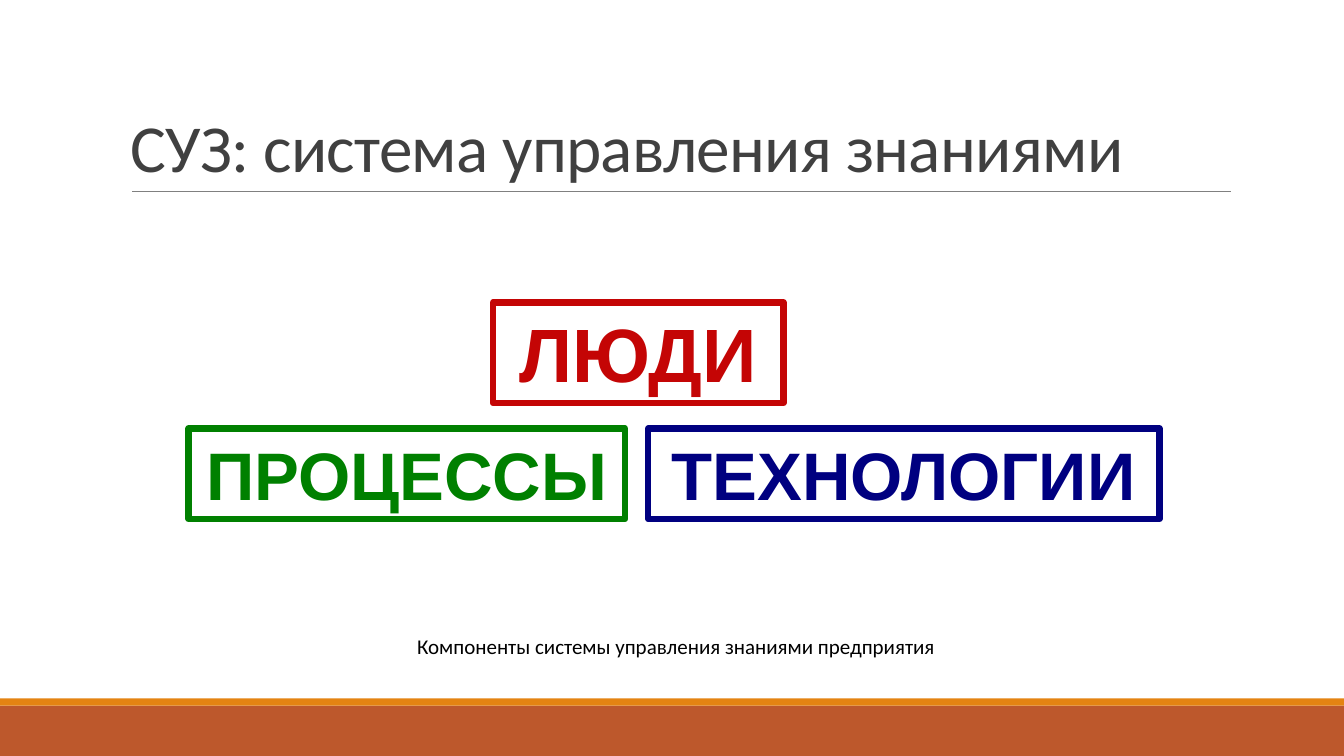
from dataclasses import dataclass

from lxml.etree import SubElement
from pptx import Presentation
from pptx.dml.color import RGBColor
from pptx.enum.shapes import MSO_CONNECTOR, MSO_SHAPE
from pptx.enum.text import MSO_ANCHOR, PP_ALIGN
from pptx.oxml.ns import qn
from pptx.shapes.autoshape import Shape
from pptx.slide import Slide
from pptx.util import Inches, Pt


@dataclass(frozen=True)
class Theme:
    heading_font: str = "Calibri"
    component_font: str = "Arial"
    title_color: str = "404040"
    caption_color: str = "000000"
    rule_color: str = "808080"
    footer_color: str = "BD582C"
    accent_color: str = "E48312"
    people_color: str = "C40505"
    processes_color: str = "008000"
    technologies_color: str = "000080"
    title_size: float = 48
    people_size: float = 54
    component_size: float = 48
    caption_size: float = 15


@dataclass(frozen=True)
class Box:
    left: float
    top: float
    width: float
    height: float


@dataclass(frozen=True)
class Band:
    box: Box
    color: str


@dataclass(frozen=True)
class Component:
    text: str
    box: Box
    color: str
    size: float


THEME = Theme()
SLIDE_WIDTH, SLIDE_HEIGHT = 13.33, 7.5

BANDS = [
    Band(Box(0, 7, SLIDE_WIDTH, 0.5), THEME.footer_color),
    Band(Box(0, 6.93, SLIDE_WIDTH, 0.07), THEME.accent_color),
]

COMPONENTS = [
    Component("ПРОЦЕССЫ", Box(1.87, 4.25, 4.33, 0.9),
              THEME.processes_color, THEME.component_size),
    Component("ЛЮДИ", Box(4.89, 3, 2.88, 1),
              THEME.people_color, THEME.people_size),
    Component("ТЕХНОЛОГИИ", Box(6.43, 4.25, 5.07, 0.9),
              THEME.technologies_color, THEME.component_size),
]


def set_text(shape: Shape, text: str, *, font: str, size: float, color: str,
             bold: bool = False, align: PP_ALIGN = PP_ALIGN.CENTER,
             anchor: MSO_ANCHOR = MSO_ANCHOR.TOP, line_spacing: float = 1,
             tracking: float = 0) -> None:
    """Write one formatted paragraph; tracking is in points."""
    frame = shape.text_frame
    frame.word_wrap = True
    frame.vertical_anchor = anchor
    paragraph = frame.paragraphs[0]
    paragraph.alignment = align
    paragraph.line_spacing = line_spacing
    run = paragraph.add_run()
    run.text = text
    run.font.name = font
    run.font.size = Pt(size)
    run.font.bold = bold
    run.font.color.rgb = RGBColor.from_string(color)
    if tracking:
        run.font._element.set("spc", str(round(tracking * 100)))


def add_rectangle(slide: Slide, box: Box) -> Shape:
    shape = slide.shapes.add_shape(
        MSO_SHAPE.RECTANGLE, Inches(box.left), Inches(box.top),
        Inches(box.width), Inches(box.height))
    shape.shadow.inherit = False
    return shape


def add_text_box(slide: Slide, box: Box) -> Shape:
    return slide.shapes.add_textbox(
        Inches(box.left), Inches(box.top), Inches(box.width), Inches(box.height))


def add_band(slide: Slide, band: Band) -> None:
    shape = add_rectangle(slide, band.box)
    shape.fill.solid()
    shape.fill.fore_color.rgb = RGBColor.from_string(band.color)
    shape.line.fill.background()


def add_title_rule(slide: Slide) -> None:
    rule = slide.shapes.add_connector(
        MSO_CONNECTOR.STRAIGHT, Inches(1.31), Inches(1.9), Inches(12.21), Inches(1.9))
    rule.line.color.rgb = RGBColor.from_string(THEME.rule_color)
    rule.line.width = Pt(0.5)
    SubElement(rule._element.spPr, qn("a:effectLst"))


def add_component(slide: Slide, component: Component) -> None:
    shape = add_rectangle(slide, component.box)
    shape.fill.background()
    shape.line.color.rgb = RGBColor.from_string(component.color)
    shape.line.width = Pt(4.5)
    set_text(shape, component.text, font=THEME.component_font,
             size=component.size, color=component.color, bold=True)


def main() -> None:
    presentation = Presentation()
    presentation.slide_width = Inches(SLIDE_WIDTH)
    presentation.slide_height = Inches(SLIDE_HEIGHT)
    slide = presentation.slides.add_slide(presentation.slide_layouts[6])

    for band in BANDS:
        add_band(slide, band)
    add_title_rule(slide)
    set_text(add_text_box(slide, Box(1.2, 0.31, 11, 1.59)),
             "СУЗ: система управления знаниями", font=THEME.heading_font,
             size=THEME.title_size, color=THEME.title_color, align=PP_ALIGN.LEFT,
             anchor=MSO_ANCHOR.BOTTOM, line_spacing=0.85, tracking=-0.5)
    for component in COMPONENTS:
        add_component(slide, component)
    set_text(add_text_box(slide, Box(2.51, 6.24, 8.39, 0.35)),
             "Компоненты системы управления знаниями предприятия",
             font=THEME.heading_font, size=THEME.caption_size,
             color=THEME.caption_color)

    presentation.save("out.pptx")


if __name__ == "__main__":
    main()
